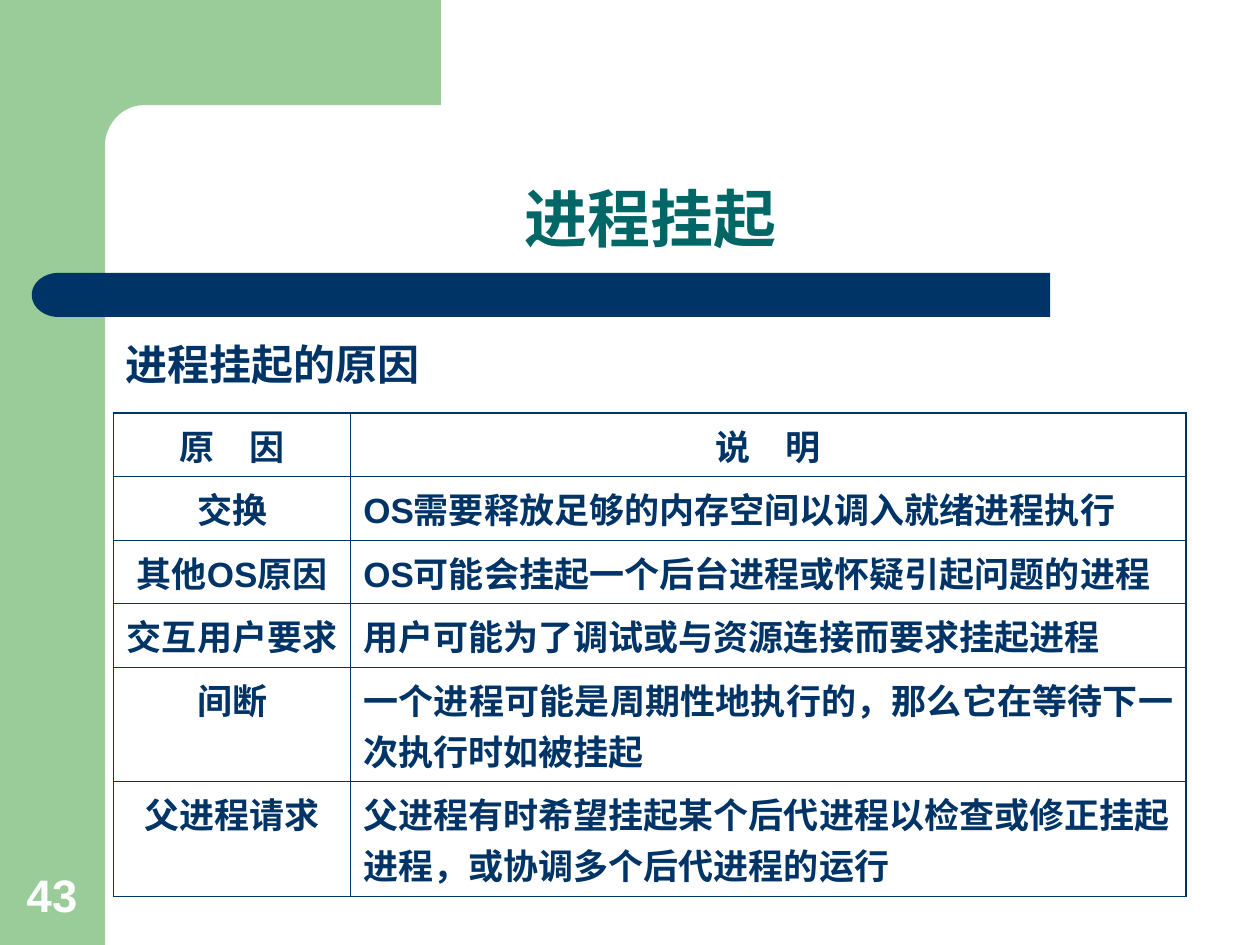
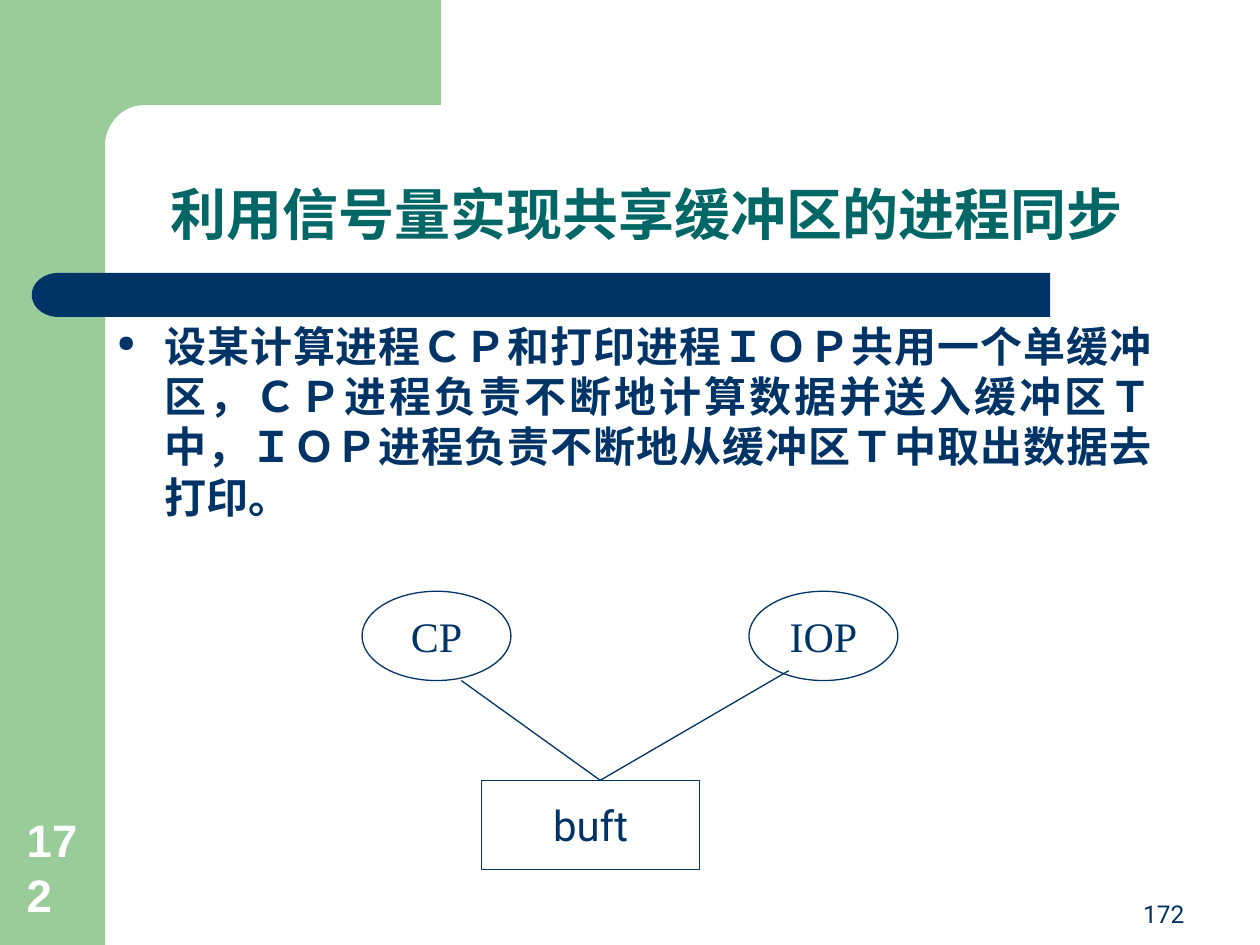
from math import cos, pi, sin

from lxml.etree import SubElement
from pptx import Presentation
from pptx.dml.color import RGBColor
from pptx.enum.lang import MSO_LANGUAGE_ID as Language
from pptx.enum.shapes import MSO_CONNECTOR as Connector
from pptx.enum.shapes import MSO_SHAPE as Shape
from pptx.enum.text import MSO_ANCHOR as Anchor
from pptx.enum.text import PP_ALIGN as Align
from pptx.oxml import parse_xml
from pptx.oxml.ns import nsdecls, qn
from pptx.util import Cm, Pt

COLORS = {"green": "99CC99", "navy": "003366", "teal": "006666", "white": "FFFFFF"}


def write(frame, text, size, font="Arial", color="navy", bold=True,
          align=Align.CENTER, anchor=Anchor.MIDDLE, wrap=True):
    frame.word_wrap = wrap
    frame.vertical_anchor = anchor
    para = frame.paragraphs[0]
    para.alignment = align
    span = para.add_run()
    span.text = text
    span.font.name = font
    span.font.size = Pt(size)
    span.font.bold = bold
    span.font.color.rgb = RGBColor.from_string(COLORS[color])
    span.font.language_id = Language.SIMPLIFIED_CHINESE
    return para


def paint(shape, fill, line=None):
    shape.shadow.inherit = False
    shape.fill.solid()
    shape.fill.fore_color.rgb = RGBColor.from_string(COLORS[fill])
    if line:
        shape.line.color.rgb = RGBColor.from_string(COLORS[line])
        shape.line.width = Pt(0.75)
    else:
        shape.line.fill.background()


deck = Presentation()
deck.slide_width, deck.slide_height = Cm(25.4), Cm(19.05)
layout = deck.slide_layouts[5]
for placeholder in list(layout.placeholders)[1:]:
    placeholder.element.getparent().remove(placeholder.element)

titles = [
    ("进程挂起", 36, "Arial", 2.11, 2.12, 22.01, 3.17, "43"),
    ("利用信号量实现共享缓冲区的进程同步", 32, "Times New Roman", 2.24, 2.34, 21.6, 2.77, "172"),
]
pages = []
for text, size, font, left, top, width, height, number in titles:
    page = deck.slides.add_slide(layout)
    title = page.shapes.title
    title.left, title.top = Cm(left), Cm(top)
    title.width, title.height = Cm(width), Cm(height)
    para = write(title.text_frame, text, size, font, "teal", anchor=Anchor.BOTTOM)
    para.line_spacing = 0.9
    box = page.shapes.add_textbox(Cm(0.29), Cm(17.35), Cm(1.63), Cm(1.35))
    write(box.text_frame, number, 26, color="white", align=Align.LEFT, anchor=Anchor.BOTTOM)
    pages.append(page)
suspend_page, buffer_page = pages

shapes = suspend_page.shapes
geometry = SubElement(shapes.title.element.spPr, qn("a:prstGeom"), prst="roundRect")
adjustments = SubElement(geometry, qn("a:avLst"))
SubElement(adjustments, qn("a:gd"), name="adj", fmla="val 21700")

side_band = shapes.add_shape(Shape.RECTANGLE, 0, 0, Cm(2.12), Cm(19.05))
arc = [(2.9 - 0.79 * sin(step * pi / 24), 2.97 - 0.85 * cos(step * pi / 24)) for step in range(13)]
outline = [(8.89, 2.12), *arc, (2.11, 3.25), (1.27, 3.25), (1.27, 0)]
builder = shapes.build_freeform(Cm(8.89), 0, scale=1.0)
builder.add_line_segments([(Cm(x), Cm(y)) for x, y in outline], close=True)
corner = builder.convert_to_shape()
title_bar = shapes.add_shape(Shape.RECTANGLE, Cm(1.7), Cm(5.5), Cm(19.47), Cm(0.89))
bar_cap = shapes.add_shape(Shape.FLOWCHART_DELAY, Cm(0.64), Cm(5.5), Cm(1.08), Cm(0.89))
bar_cap.rotation = 180
decorations = [(side_band, "green"), (corner, "green"), (title_bar, "navy"), (bar_cap, "navy")]
for position, (shape, color) in enumerate(decorations, 2):
    paint(shape, color)
    layout.shapes.element.insert(position, shape.element)

box = shapes.add_textbox(Cm(2.04), Cm(6.53), Cm(6.9), Cm(1.6))
write(box.text_frame, "进程挂起的原因", 24, "Roboto", wrap=False)

reasons = [
    ("原　因", "说　明"),
    ("交换", "OS需要释放足够的内存空间以调入就绪进程执行"),
    ("其他OS原因", "OS可能会挂起一个后台进程或怀疑引起问题的进程"),
    ("交互用户要求", "用户可能为了调试或与资源连接而要求挂起进程"),
    ("间断", "一个进程可能是周期性地执行的，那么它在等待下一次执行时如被挂起"),
    ("父进程请求", "父进程有时希望挂起某个后代进程以检查或修正挂起进程，或协调多个后代进程的运行"),
]
row_heights = [1.28] * 4 + [2.31] * 2
table = shapes.add_table(len(reasons), 2, Cm(2.29), Cm(8.33), Cm(21.62), Cm(sum(row_heights))).table
table.first_row = table.horz_banding = False
for column, width in zip(table.columns, (4.78, 16.84)):
    column.width = Cm(width)
last = len(reasons) - 1
for row, (texts, height) in enumerate(zip(reasons, row_heights)):
    table.rows[row].height = Cm(height)
    for col, text in enumerate(texts):
        cell = table.cell(row, col)
        cell.fill.background()
        align = Align.CENTER
        if col and row:
            align = Align.LEFT if row == last else Align.JUSTIFY
        write(cell.text_frame, text, 20, align=align, anchor=Anchor.TOP)
        outer = {"lnL": col == 0, "lnR": col == 1, "lnT": row == 0, "lnB": row == last}
        for order, (side, is_outer) in enumerate(outer.items()):
            weight = Pt(1.08) if is_outer else Pt(0.45)
            border = parse_xml(
                f'<a:{side} {nsdecls("a")} w="{weight}"><a:solidFill>'
                f'<a:srgbClr val="{COLORS["navy"]}"/></a:solidFill></a:{side}>')
            cell._tc.get_or_add_tcPr().insert(order, border)

shapes = buffer_page.shapes
box = shapes.add_textbox(Cm(2.11), Cm(6.33), Cm(21.36), Cm(4.6))
para = write(
    box.text_frame,
    "设某计算进程ＣＰ和打印进程ＩＯＰ共用一个单缓冲区，ＣＰ进程负责不断地计算数据并送入缓冲区Ｔ中，"
    "ＩＯＰ进程负责不断地从缓冲区Ｔ中取出数据去打印。",
    24, "Times New Roman", align=Align.JUSTIFY, anchor=Anchor.TOP)
properties = para._p.get_or_add_pPr()
properties.set("marL", str(Cm(0.95)))
properties.set("indent", str(Cm(-0.95)))
properties.set("hangingPunct", "0")
bullet_color = SubElement(properties, qn("a:buClr"))
SubElement(bullet_color, qn("a:srgbClr"), val=COLORS["navy"])
SubElement(properties, qn("a:buSzPct"), val="55000")
SubElement(properties, qn("a:buChar"), char="●")

nodes = [
    ("CP", Shape.OVAL, 7.3, 11.92, 3, "Times New Roman"),
    ("IOP", Shape.OVAL, 15.1, 11.92, 3, "Times New Roman"),
    ("buft", Shape.RECTANGLE, 9.71, 15.73, 4.39, "Roboto"),
]
for text, kind, left, top, width, font in nodes:
    node = shapes.add_shape(kind, Cm(left), Cm(top), Cm(width), Cm(1.8))
    paint(node, "white", "navy")
    write(node.text_frame, text, 24, font, bold=False, wrap=False)

for x, y in [(9.3, 13.72), (15.9, 13.52)]:
    link = shapes.add_connector(Connector.STRAIGHT, Cm(x), Cm(y), Cm(12.1), Cm(15.73))
    link.line.color.rgb = RGBColor.from_string(COLORS["navy"])
    link.line.width = Pt(0.75)
    SubElement(link.element.spPr, qn("a:effectLst"))

box = shapes.add_textbox(Cm(18.85), Cm(17.58), Cm(5.28), Cm(1.27))
write(box.text_frame, "172", 14, "Roboto", bold=False, align=Align.RIGHT, anchor=Anchor.BOTTOM)

deck.save("out.pptx")
